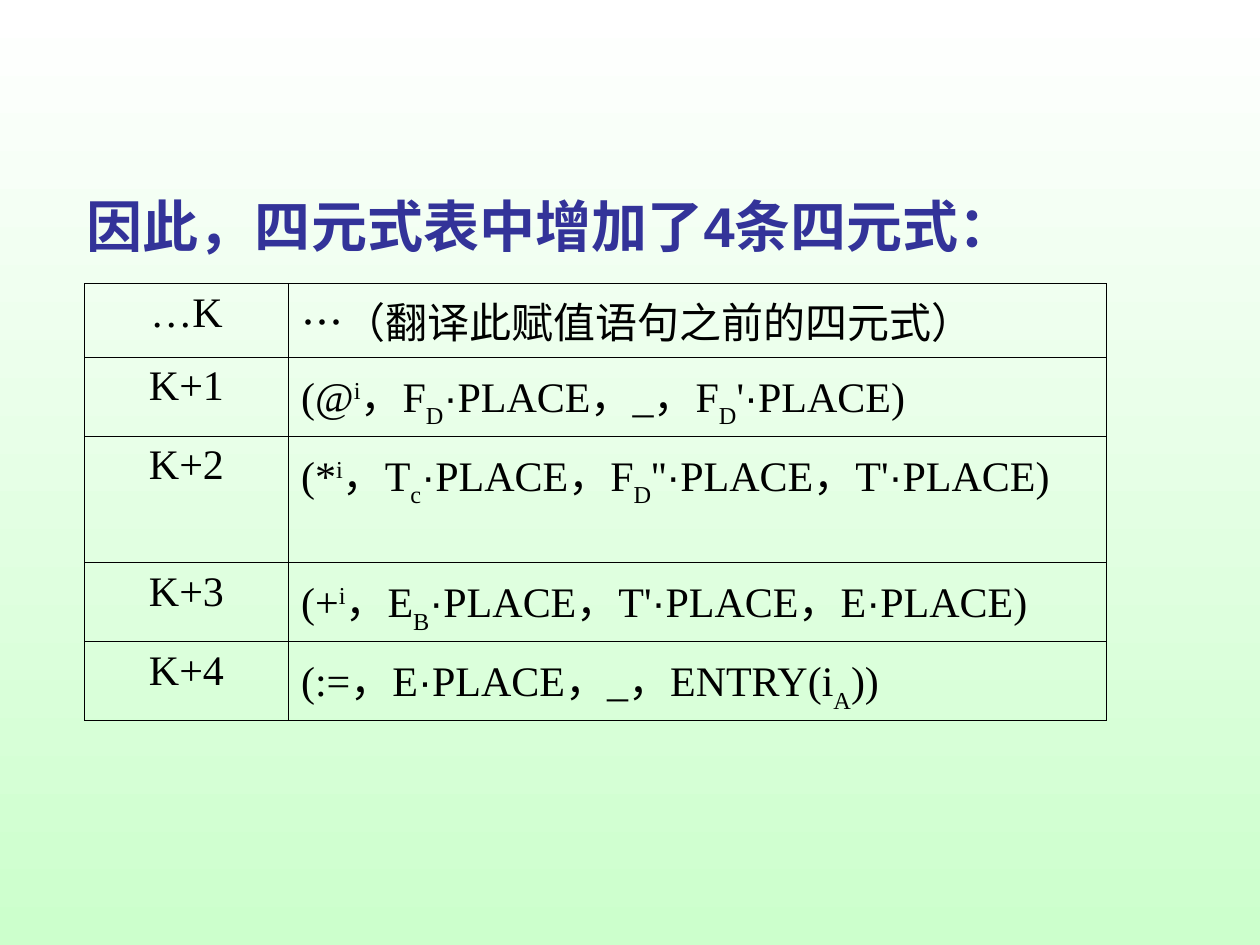
from dataclasses import dataclass

from pptx import Presentation
from pptx.dml.color import RGBColor
from pptx.enum.lang import MSO_LANGUAGE_ID
from pptx.enum.text import MSO_ANCHOR, MSO_AUTO_SIZE, PP_ALIGN
from pptx.oxml import parse_xml
from pptx.oxml.ns import nsdecls
from pptx.util import Inches, Pt

CHINESE = MSO_LANGUAGE_ID.SIMPLIFIED_CHINESE
MIDDLE, TOP = MSO_ANCHOR.MIDDLE, MSO_ANCHOR.TOP
LEFT, CENTER = PP_ALIGN.LEFT, PP_ALIGN.CENTER
NO_AUTOFIT = MSO_AUTO_SIZE.NONE


@dataclass(frozen=True)
class Theme:
    """Colours, fonts and type sizes of the deck."""
    title: str = "333399"
    ink: str = "000000"
    sky: str = "FFFFFF"
    ground: str = "CCFFCC"
    sans: str = "Arial"
    serif: str = "Times New Roman"
    title_size: int = 32
    body_size: int = 24
    border: float = 0.45


THEME = Theme()
BASELINES = {"^": 30000, "~": -30000}
COLUMN_WIDTHS = (1.62, 6.49)
ROW_HEIGHTS = (0.5, 0.57, 0.97, 0.57, 0.57)
QUADRUPLES = (
    ("…K", "…（翻译此赋值语句之前的四元式）", THEME.sans),
    ("K+1", "(@|^i|，F|~D|·|PLACE，_，F|~D|'|·|PLACE)", THEME.serif),
    ("K+2", "(*|^i|，T|~c|·|PLACE，F|~D|''|·|PLACE，T'|·|PLACE)", THEME.serif),
    ("K+3", "(+|^i|，E|~B|·|PLACE，T'|·|PLACE，E|·|PLACE)", THEME.serif),
    ("K+4", "(:=，E|·|PLACE，_，ENTRY(i|~A|))", THEME.serif),
)


def add_text(para, text, *, font=THEME.serif, size=THEME.body_size,
             color=THEME.ink, bold=False, align=LEFT):
    """Write spans parted by |, where ^ raises a span and ~ lowers it."""
    para.alignment = align
    for part in text.split("|"):
        baseline = BASELINES.get(part[0])
        span = para.add_run()
        span.text = part[1:] if baseline else part
        span.font.name = THEME.sans if part == "·" else font
        span.font.size = Pt(size)
        span.font.bold = bold
        span.font.color.rgb = RGBColor.from_string(color)
        span.font.language_id = CHINESE
        if baseline:
            span.font._element.set("baseline", str(baseline))


def paint_background(page):
    """Fill the page with a gradient from top to bottom."""
    fill = page.background.fill
    fill.gradient()
    fill.gradient_angle = 270
    for stop, color, position in zip(
            fill.gradient_stops, (THEME.sky, THEME.ground), (0, 1)):
        stop.color.rgb = RGBColor.from_string(color)
        stop.position = position


def add_title(page, text):
    """Place and format the title placeholder."""
    title = page.shapes.title
    title.left, title.top = Inches(0.59), Inches(1.47)
    title.width, title.height = Inches(9), Inches(0.63)
    frame = title.text_frame
    frame.auto_size = NO_AUTOFIT
    frame.vertical_anchor = MIDDLE
    add_text(frame.paragraphs[0], text, font=THEME.sans,
             size=THEME.title_size, color=THEME.title, bold=True)


def draw_borders(cell):
    """Draw a thin line on each side of a cell and leave it unfilled."""
    properties = cell._tc.get_or_add_tcPr()
    for side in ("lnL", "lnR", "lnT", "lnB"):
        properties.append(parse_xml(
            f'<a:{side} {nsdecls("a")} w="{Pt(THEME.border)}"><a:solidFill>'
            f'<a:srgbClr val="{THEME.ink}"/></a:solidFill></a:{side}>'))
    cell.fill.background()


def add_cell(cell, text, **text_format):
    """Fill one table cell with text and borders."""
    cell.vertical_anchor = TOP
    draw_borders(cell)
    add_text(cell.text_frame.paragraphs[0], text, **text_format)


def add_quadruple_table(page):
    """Build the table of numbered quadruples."""
    table = page.shapes.add_table(
        len(ROW_HEIGHTS), len(COLUMN_WIDTHS), Inches(0.67), Inches(2.25),
        Inches(sum(COLUMN_WIDTHS)), Inches(sum(ROW_HEIGHTS))).table
    table.first_row = table.horz_banding = False
    for column, width in zip(table.columns, COLUMN_WIDTHS):
        column.width = Inches(width)
    for row, height, (label, formula, font) in zip(
            table.rows, ROW_HEIGHTS, QUADRUPLES):
        row.height = Inches(height)
        add_cell(row.cells[0], label, align=CENTER)
        add_cell(row.cells[1], formula, font=font)


def main():
    """Build and save the deck."""
    deck = Presentation()
    deck.slide_width, deck.slide_height = Inches(10), Inches(7.5)
    page = deck.slides.add_slide(deck.slide_layouts[5])
    paint_background(page)
    add_title(page, "因此，四元式表中增加了4条四元式：")
    add_quadruple_table(page)
    deck.save("out.pptx")


if __name__ == "__main__":
    main()
